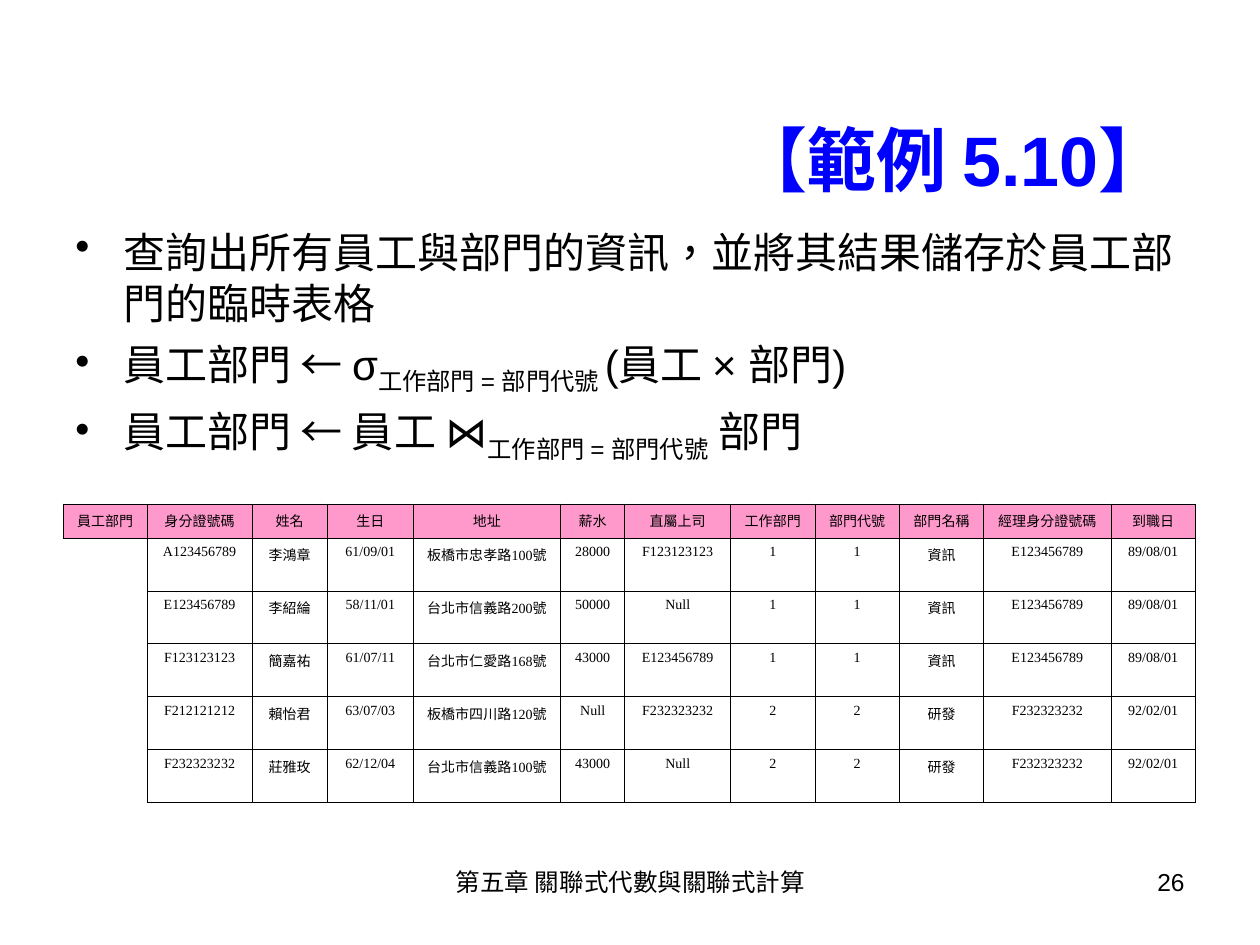
from lxml.etree import SubElement
from pptx import Presentation
from pptx.dml.color import RGBColor
from pptx.enum.lang import MSO_LANGUAGE_ID
from pptx.enum.text import MSO_ANCHOR, PP_ALIGN
from pptx.oxml.ns import qn
from pptx.util import Inches, Pt

BLACK = RGBColor(0x00, 0x00, 0x00)
BLUE = RGBColor(0x00, 0x00, 0xFF)
PINK = RGBColor(0xFF, 0x99, 0xCC)

NO_STYLE_NO_GRID = "{2D5ABB26-0587-4C30-8999-92F81FD0307C}"
SUBSCRIPT = -25000

# Each bullet is a list of (text, is_subscript) runs.
BULLETS = [
    [("查詢出所有員工與部門的資訊，並將其結果儲存於員工部門的臨時表格", False)],
    [("員工部門 ← σ", False), ("工作部門 = 部門代號 ", True), ("(員工 × 部門)", False)],
    [("員工部門 ← 員工 ⋈", False), ("工作部門 = 部門代號", True), (" 部門", False)],
]

COLUMN_WIDTHS = [0.67, 0.83, 0.6, 0.68, 1.17, 0.51, 0.84, 0.67, 0.67, 0.67, 1.01, 0.67]
HEADER = ["員工部門", "身分證號碼", "姓名", "生日", "地址", "薪水", "直屬上司",
          "工作部門", "部門代號", "部門名稱", "經理身分證號碼", "到職日"]
INFORMATION = ["1", "1", "資訊", "E123456789", "89/08/01"]
RESEARCH = ["2", "2", "研發", "F232323232", "92/02/01"]
EMPLOYEES = [
    ["", "A123456789", "李鴻章", "61/09/01", "板橋市忠孝路100號", "28000", "F123123123", *INFORMATION],
    ["", "E123456789", "李紹綸", "58/11/01", "台北市信義路200號", "50000", "Null", *INFORMATION],
    ["", "F123123123", "簡嘉祐", "61/07/11", "台北市仁愛路168號", "43000", "E123456789", *INFORMATION],
    ["", "F212121212", "賴怡君", "63/07/03", "板橋市四川路120號", "Null", "F232323232", *RESEARCH],
    ["", "F232323232", "莊雅玫", "62/12/04", "台北市信義路100號", "43000", "Null", *RESEARCH],
]


class SlideBuilder:
    text_font = "Arial"
    table_font = "Times New Roman"
    hanging = Inches(0.38)
    border_width = Pt(0.45)
    header_height = Inches(0.27)
    row_height = Inches(0.42)

    def __init__(self, presentation):
        self.slide = presentation.slides.add_slide(presentation.slide_layouts[6])

    def add_run(self, paragraph, text, size, color=BLACK, bold=False, name=None):
        run = paragraph.add_run()
        run.text = text
        font = run.font
        font.name = name or self.text_font
        font.size = Pt(size)
        font.bold = bold
        font.color.rgb = color
        font.language_id = MSO_LANGUAGE_ID.TRADITIONAL_CHINESE
        return run

    def hang(self, paragraph):
        """Give the paragraph a hanging indent."""
        properties = paragraph._p.get_or_add_pPr()
        properties.set("marL", str(self.hanging))
        properties.set("indent", str(-self.hanging))
        return properties

    def text_frame(self, left, top, width, height, anchor=MSO_ANCHOR.TOP):
        box = self.slide.shapes.add_textbox(Inches(left), Inches(top), Inches(width), Inches(height))
        box.text_frame.word_wrap = True
        box.text_frame.vertical_anchor = anchor
        return box.text_frame

    def add_text(self, text, place, size, alignment, anchor=MSO_ANCHOR.TOP, **style):
        paragraph = self.text_frame(*place, anchor).paragraphs[0]
        paragraph.alignment = alignment
        self.add_run(paragraph, text, size, **style)

    def add_bullets(self, bullets, place, size):
        frame = self.text_frame(*place)
        for index, runs in enumerate(bullets):
            paragraph = frame.add_paragraph() if index else frame.paragraphs[0]
            if index:
                paragraph.space_before = Pt(6)
            SubElement(self.hang(paragraph), qn("a:buChar")).set("char", "•")
            for text, is_subscript in runs:
                run = self.add_run(paragraph, text, size)
                if is_subscript:
                    run.font._element.set("baseline", str(SUBSCRIPT))

    def add_borders(self, cell):
        properties = cell._tc.get_or_add_tcPr()
        for index, side in enumerate(("a:lnL", "a:lnR", "a:lnT", "a:lnB")):
            line = properties.makeelement(qn(side), {"w": str(self.border_width)})
            fill = SubElement(line, qn("a:solidFill"))
            SubElement(fill, qn("a:srgbClr")).set("val", str(BLACK))
            properties.insert(index, line)

    def add_table(self, rows, widths, left, top, size):
        height = self.header_height + self.row_height * (len(rows) - 1)
        frame = self.slide.shapes.add_table(
            len(rows), len(widths), Inches(left), Inches(top), Inches(sum(widths)), height)
        table = frame.table
        table.first_row = table.horz_banding = False
        table._tbl.tblPr.find(qn("a:tableStyleId")).text = NO_STYLE_NO_GRID
        for column, width in zip(table.columns, widths):
            column.width = Inches(width)
        for row_index, values in enumerate(rows):
            table.rows[row_index].height = self.row_height if row_index else self.header_height
            for column_index, text in enumerate(values):
                self.fill_cell(table.cell(row_index, column_index), text, size, row_index == 0)

    def fill_cell(self, cell, text, size, is_header):
        if is_header:
            cell.fill.solid()
            cell.fill.fore_color.rgb = PINK
        else:
            cell.fill.background()
        paragraph = cell.text_frame.paragraphs[0]
        if not text:
            paragraph.font.size = Pt(size)
            return
        self.add_borders(cell)
        self.hang(paragraph)
        paragraph.alignment = PP_ALIGN.CENTER
        self.add_run(paragraph, text, size, name=self.table_font)


def main():
    presentation = Presentation()
    presentation.slide_width = Inches(10)
    presentation.slide_height = Inches(7.5)
    builder = SlideBuilder(presentation)
    builder.add_text("第五章 關聯式代數與關聯式計算", (3.42, 6.83, 3.17, 0.52), 14, PP_ALIGN.CENTER)
    builder.add_text("26", (7.17, 6.83, 2.33, 0.52), 14, PP_ALIGN.RIGHT)
    builder.add_text("【範例 5.10】 ", (0.5, 0.92, 9, 0.67), 40, PP_ALIGN.RIGHT,
                     MSO_ANCHOR.MIDDLE, color=BLUE, bold=True)
    builder.add_bullets(BULLETS, (0.5, 1.75, 9, 5.42), 24)
    builder.add_table([HEADER, *EMPLOYEES], COLUMN_WIDTHS, 0.5, 4, 8)
    presentation.save("out.pptx")


if __name__ == "__main__":
    main()
